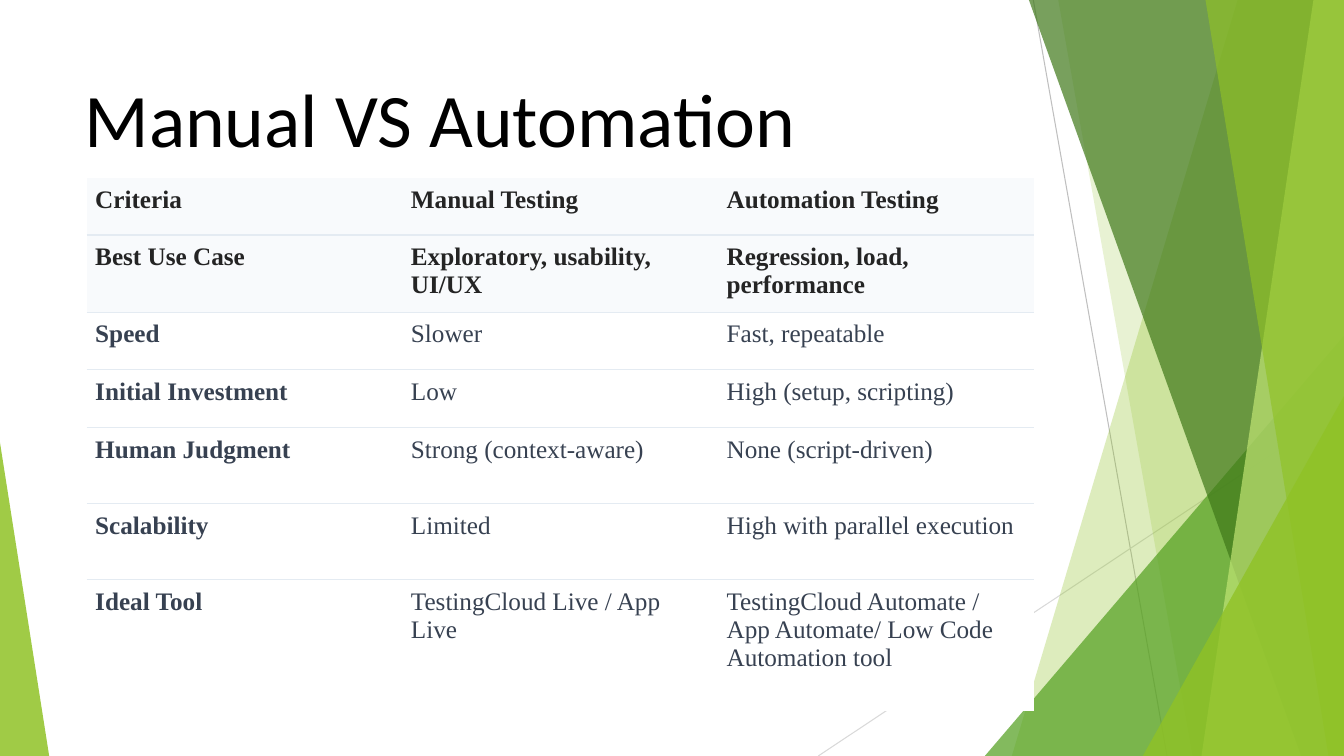
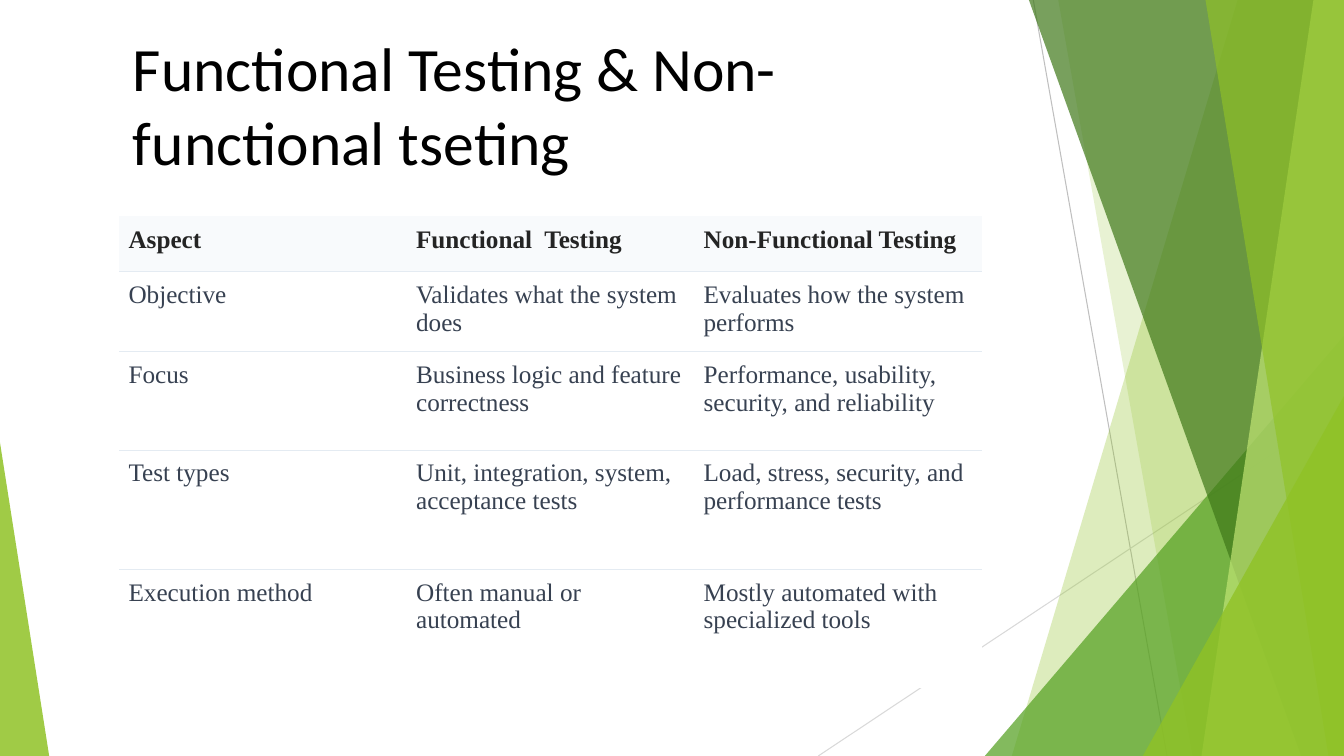
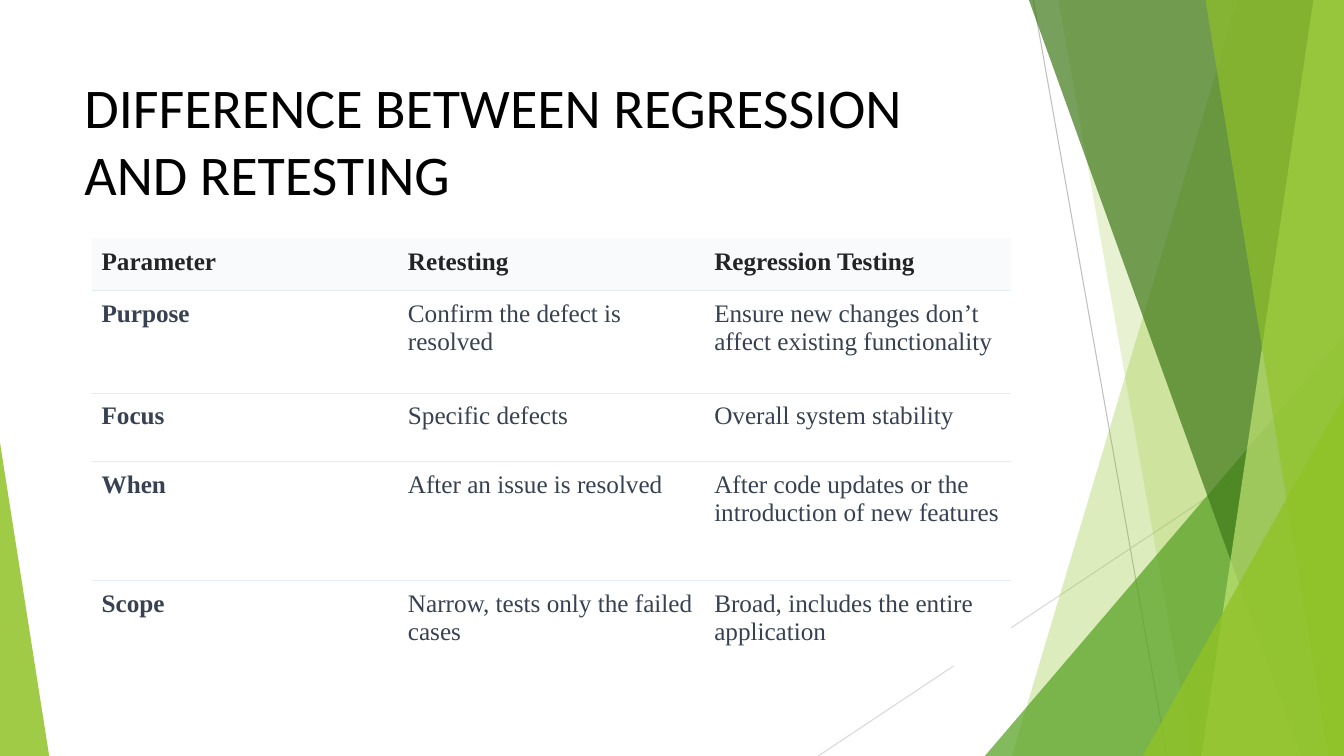
import pptx
import pptx.dml.color
import pptx.enum.shapes
import pptx.enum.text
import pptx.oxml
import pptx.oxml.ns
import pptx.util
from lxml import etree

Cm, Pt = pptx.util.Cm, pptx.util.Pt
qn = pptx.oxml.ns.qn

# Shared look
WIDTH, HEIGHT = 33.87, 19.05
COLORS = {
    "lime": "90C226", "green": "54A021", "forest": "3F7819", "pale": "C0E474",
    "gray": "BFBFBF", "light_gray": "D9D9D9",
    "title": "000000", "head_text": "242424", "body_text": "374151",
    "head_fill": "F8FAFC", "body_fill": "FFFFFF", "rule": "E4EBF2",
}
TITLE_FONT = {"name": "Calibri", "bold": False}
CELL_FONT = {"name": "Times New Roman", "size": Pt(18)}
RULE_WIDTH = 0.6

# Backdrop: lines as start, end, colour
LINES = [
    ((26.04, 0), (29.41, HEIGHT), "gray"),
    ((WIDTH, 10.24), (20.62, HEIGHT), "light_gray"),
]
# Bands reach the right edge: top x, bottom x, colour, opacity in percent
# Triangles stand on the bottom edge: left, top, right, peak, colour, opacity
BACKDROP = [
    ("band", 31.19, 25.5, "lime", 30),
    ("band", 26.67, 30.05, "lime", 20),
    ("triangle", 24.82, 8.46, WIDTH, 1, "green", 72),
    ("band", 25.93, 32.79, "forest", 70),
    ("band", 33.1, 30.28, "pale", 70),
    ("band", 30.38, 33.48, "lime", 65),
    ("triangle", 28.8, 9.98, WIDTH, 1, "lime", 80),
    ("triangle", 0, 11.15, 1.24, 0, "lime", 85),
]

# Slide content
SLIDES = [
    {
        "title": "Manual VS Automation",
        "title_box": (1.88, 1.7, 23.88, 3.66),
        "title_size": 54,
        "table_at": (2.19, 4.48),
        "table_width": 23.87,
        "row_heights": (1.44, 1.92, 1.45, 1.45, 1.92, 1.92, 3.32),
        "padding": 0.21,
        "head_rows": 2,
        "head_rule": 1,
        "bold_labels": True,
        "rows": [
            ("Criteria", "Manual Testing", "Automation Testing"),
            ("Best Use Case", "Exploratory, usability, UI/UX",
             "Regression, load, performance"),
            ("Speed", "Slower", "Fast, repeatable"),
            ("Initial Investment", "Low", "High (setup, scripting)"),
            ("Human Judgment", "Strong (context-aware)", "None (script-driven)"),
            ("Scalability", "Limited", "High with parallel execution"),
            ("Ideal Tool", "TestingCloud Live / App Live",
             "TestingCloud Automate / App Automate/ Low Code Automation tool"),
        ],
    },
    {
        "title": "Functional Testing & Non- functional tseting",
        "title_box": (3.1, 0.64, 21.03, 4.01),
        "title_size": 44,
        "table_at": (3, 5.45),
        "table_width": 21.74,
        "row_heights": (1.39, 2.01, 2.49, 3, 3),
        "padding": 0.24,
        "head_rows": 1,
        "head_rule": RULE_WIDTH,
        "bold_labels": False,
        "rows": [
            ("Aspect", "Functional  Testing", "Non-Functional Testing"),
            ("Objective", "Validates what the system does",
             "Evaluates how the system performs"),
            ("Focus", "Business logic and feature correctness",
             "Performance, usability, security, and reliability"),
            ("Test types", "Unit, integration, system, acceptance tests",
             "Load, stress, security, and performance tests"),
            ("Execution method", "Often manual or automated",
             "Mostly automated with specialized tools"),
        ],
    },
    {
        "title": "DIFFERENCE BETWEEN REGRESSION AND RETESTING",
        "title_box": (1.88, 1.7, 23.88, 3.66),
        "title_size": 40,
        "table_at": (2.32, 6),
        "table_width": 23.16,
        "row_heights": (1.31, 2.59, 1.73, 3, 2.16),
        "padding": 0.24,
        "head_rows": 1,
        "head_rule": RULE_WIDTH,
        "bold_labels": True,
        "rows": [
            ("Parameter", "Retesting", "Regression Testing"),
            ("Purpose", "Confirm the defect is resolved",
             "Ensure new changes don’t affect existing functionality"),
            ("Focus", "Specific defects", "Overall system stability"),
            ("When", "After an issue is resolved",
             "After code updates or the introduction of new features"),
            ("Scope", "Narrow, tests only the failed cases",
             "Broad, includes the entire application"),
        ],
    },
]


def rgb(name):
    return pptx.dml.color.RGBColor.from_string(COLORS[name])


def apply_format(target, values):
    for attribute, value in values.items():
        setattr(target, attribute, value)


def paint(shape, color, opacity):
    shape.shadow.inherit = False
    shape.line.fill.background()
    shape.fill.solid()
    shape.fill.fore_color.rgb = rgb(color)
    color_element = shape.element.spPr.find(qn("a:solidFill"))[0]
    etree.SubElement(color_element, qn("a:alpha"), val=str(opacity * 1000))


def add_line(slide, start, end, color):
    connector = slide.shapes.add_connector(
        pptx.enum.shapes.MSO_CONNECTOR.STRAIGHT,
        *(Cm(value) for value in start + end))
    connector.line.color.rgb = rgb(color)
    connector.line.width = Pt(0.75)
    etree.SubElement(connector.element.spPr, qn("a:effectLst"))


def add_band(slide, top_x, bottom_x, color, opacity):
    builder = slide.shapes.build_freeform(Cm(top_x), 0)
    corners = [(WIDTH, 0), (WIDTH, HEIGHT), (bottom_x, HEIGHT)]
    builder.add_line_segments([(Cm(x), Cm(y)) for x, y in corners], close=True)
    paint(builder.convert_to_shape(), color, opacity)


def add_triangle(slide, left, top, right, peak, color, opacity):
    shape = slide.shapes.add_shape(
        pptx.enum.shapes.MSO_SHAPE.ISOSCELES_TRIANGLE,
        Cm(left), Cm(top), Cm(right - left), Cm(HEIGHT - top))
    shape.adjustments[0] = peak
    paint(shape, color, opacity)


def add_backdrop(slide):
    for line in LINES:
        add_line(slide, *line)
    draw = {"band": add_band, "triangle": add_triangle}
    for kind, *values in BACKDROP:
        draw[kind](slide, *values)


def add_title(slide, content):
    box = slide.shapes.add_textbox(*(Cm(value) for value in content["title_box"]))
    apply_format(box.text_frame, {
        "word_wrap": True,
        "vertical_anchor": pptx.enum.text.MSO_ANCHOR.TOP,
        "text": content["title"],
    })
    font = box.text_frame.paragraphs[0].runs[0].font
    apply_format(font, {**TITLE_FONT, "size": Pt(content["title_size"])})
    font.color.rgb = rgb("title")


def set_borders(cell_element, widths):
    """Draw each side at its width in points; None leaves the side open."""
    properties = cell_element.get_or_add_tcPr()
    for side in ("L", "R", "T", "B"):
        width = widths.get(side)
        line = etree.SubElement(properties, qn("a:ln" + side), w=str(Pt(width or 0)))
        if width:
            fill = etree.SubElement(line, qn("a:solidFill"))
            etree.SubElement(fill, qn("a:srgbClr"), val=COLORS["rule"])
        else:
            etree.SubElement(line, qn("a:noFill"))


def add_comparison(slide, content):
    rows, heights = content["rows"], content["row_heights"]
    columns = len(rows[0])
    left, top = content["table_at"]
    frame = slide.shapes.add_table(
        len(rows), columns, Cm(left), Cm(top),
        Cm(content["table_width"]), Cm(sum(heights)))
    table = frame.table
    apply_format(table, {"first_row": False, "horz_banding": False})
    for column in table.columns:
        column.width = Cm(content["table_width"] / columns)
    for row, height in zip(table.rows, heights):
        row.height = Cm(height)

    # Rules run between rows only; the first may be heavier
    rules = [None, content["head_rule"]] + [RULE_WIDTH] * (len(rows) - 2) + [None]
    margins = dict.fromkeys(
        ("margin_left", "margin_right", "margin_top", "margin_bottom"),
        Cm(content["padding"]))
    cell_elements = frame.element.iter(qn("a:tc"))
    for index, texts in enumerate(rows):
        is_head = index < content["head_rows"]
        part = "head" if is_head else "body"
        for position, text in enumerate(texts):
            set_borders(next(cell_elements), {"T": rules[index], "B": rules[index + 1]})
            cell = table.cell(index, position)
            apply_format(cell, {**margins, "text": text})
            cell.fill.solid()
            cell.fill.fore_color.rgb = rgb(part + "_fill")
            font = cell.text_frame.paragraphs[0].runs[0].font
            is_label = position == 0 and content["bold_labels"]
            apply_format(font, {**CELL_FONT, "bold": is_head or is_label})
            font.color.rgb = rgb(part + "_text")


def main():
    presentation = pptx.Presentation()
    apply_format(presentation, {"slide_width": Cm(WIDTH), "slide_height": Cm(HEIGHT)})
    for content in SLIDES:
        slide = presentation.slides.add_slide(presentation.slide_layouts[6])
        add_backdrop(slide)
        add_title(slide, content)
        add_comparison(slide, content)
    presentation.save("out.pptx")


if __name__ == "__main__":
    main()
